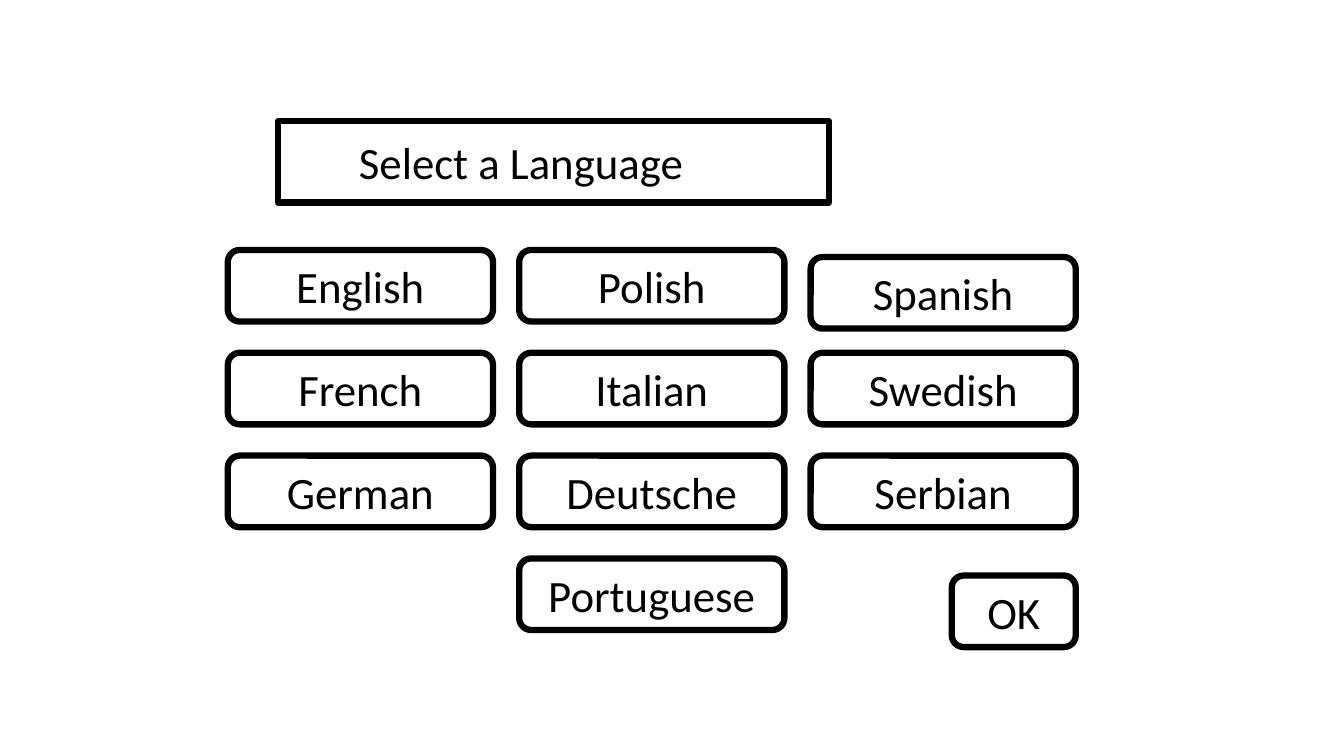
from lxml import etree
from pptx import Presentation
from pptx import util as u
from pptx.dml.color import RGBColor
from pptx.enum import shapes, text
from pptx.oxml.ns import qn


def color(hex_string):
    return RGBColor.from_string(hex_string)


def write(shape, wording, align=text.PP_ALIGN.CENTER, left_inset=0.1,
          size=32, font="Calibri", ink="000000"):
    frame = shape.text_frame
    frame.word_wrap = True
    frame.auto_size = text.MSO_AUTO_SIZE.NONE
    frame.vertical_anchor = text.MSO_ANCHOR.MIDDLE
    frame.margin_left = u.Inches(left_inset)
    paragraph = frame.paragraphs[0]
    paragraph.alignment = align
    run = paragraph.add_run()
    run.text = wording
    run.font.size = u.Pt(size)
    run.font.name = font
    run.font.color.rgb = color(ink)


class LanguageScreen:
    ink = "000000"
    border = 4.5

    def __init__(self, slide):
        self.slide = slide

    def outline(self, shape):
        shape.fill.background()
        shape.line.color.rgb = color(self.ink)
        shape.line.width = u.Pt(self.border)

    def heading(self, wording, left, top, width, height):
        heading = self.slide.shapes.title
        heading.left, heading.top = u.Inches(left), u.Inches(top)
        heading.width, heading.height = u.Inches(width), u.Inches(height)
        # Rounded outline for the title placeholder
        geometry = etree.SubElement(heading.element.spPr, qn("a:prstGeom"), prst="roundRect")
        etree.SubElement(geometry, qn("a:avLst"))
        self.outline(heading)
        write(heading, wording, align=text.PP_ALIGN.LEFT, left_inset=0.8, ink=self.ink)

    def button(self, wording, left, top, width=2.63, height=0.71):
        button = self.slide.shapes.add_shape(
            shapes.MSO_SHAPE.ROUNDED_RECTANGLE,
            u.Inches(left), u.Inches(top), u.Inches(width), u.Inches(height))
        button.shadow.inherit = False
        self.outline(button)
        write(button, wording, ink=self.ink)


def main():
    deck = Presentation()
    deck.slide_width, deck.slide_height = u.Inches(13.33), u.Inches(7.5)
    screen = LanguageScreen(deck.slides.add_slide(deck.slide_layouts[5]))

    # Heading
    screen.heading("Select a Language", 2.76, 1.2, 5.46, 0.81)

    # Language buttons, column by column
    columns = [
        ["English", "French", "German"],
        ["Polish", "Italian", "Deutsche", "Portuguese"],
        ["Spanish", "Swedish", "Serbian"],
    ]
    nudges = {"Spanish": 0.07}
    for column, languages in enumerate(columns):
        for row, language in enumerate(languages):
            screen.button(language, 2.26 + 2.89 * column,
                          2.48 + 1.02 * row + nudges.get(language, 0))

    # Confirmation
    screen.button("OK", 9.44, 5.71, width=1.23)

    deck.save("out.pptx")


if __name__ == "__main__":
    main()
